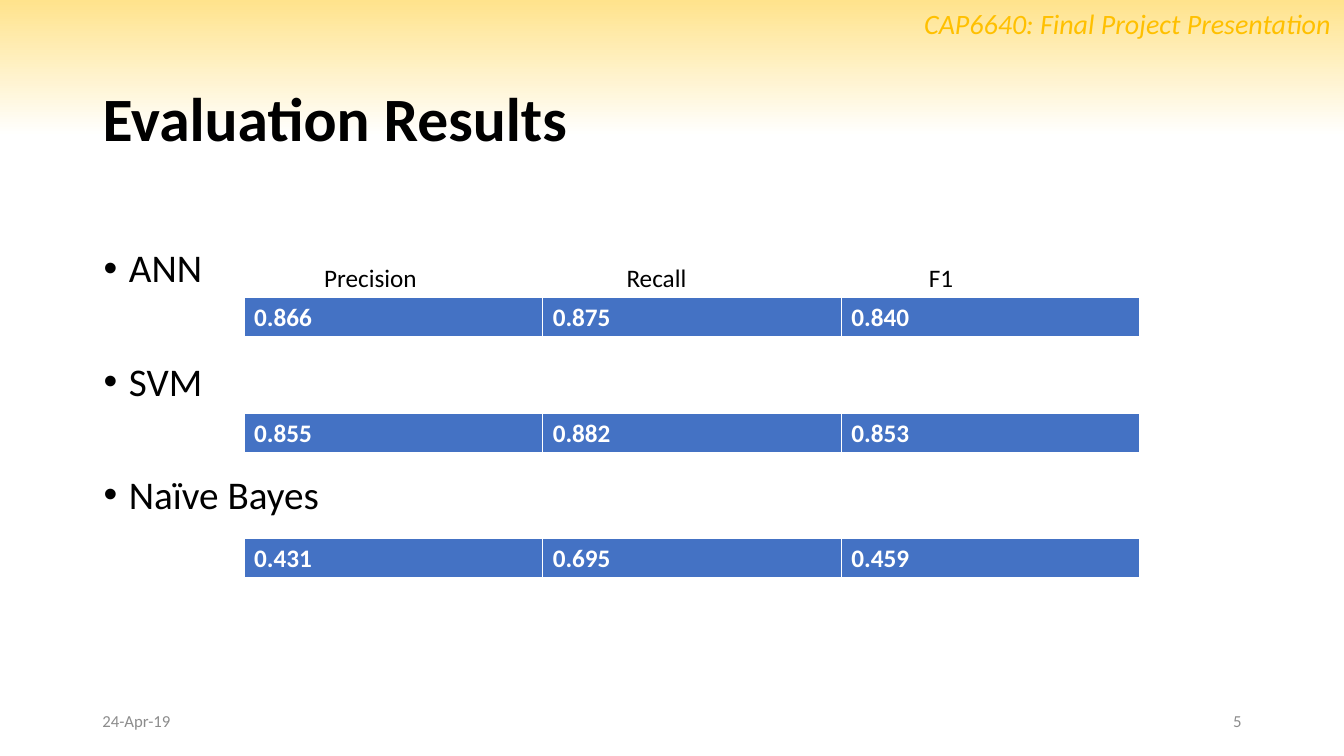
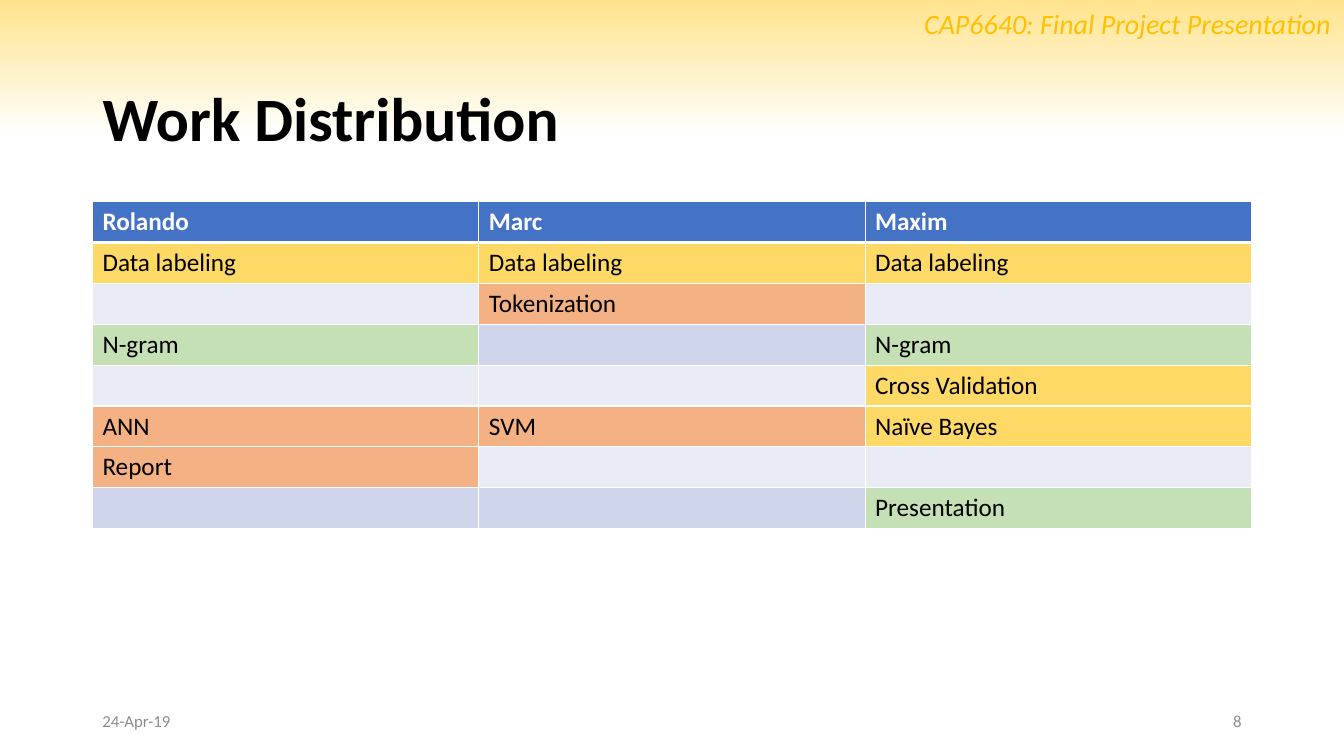
import pptx
import pptx.dml.color
import pptx.enum.text
import pptx.oxml.ns
import pptx.util
import lxml.etree

Cm, Pt = pptx.util.Cm, pptx.util.Pt
RGBColor = pptx.dml.color.RGBColor
ALIGN = pptx.enum.text.PP_ALIGN
ANCHOR = pptx.enum.text.MSO_ANCHOR
AUTO_SIZE = pptx.enum.text.MSO_AUTO_SIZE
qn = pptx.oxml.ns.qn

FONT = "Calibri"
BLACK = RGBColor(0x00, 0x00, 0x00)
WHITE = RGBColor(0xFF, 0xFF, 0xFF)
GRAY = RGBColor(0x8C, 0x8C, 0x8C)
GOLD = RGBColor(0xFF, 0xC0, 0x00)
PALE_GOLD = RGBColor(0xFF, 0xE3, 0x8C)
BLUE = RGBColor(0x44, 0x72, 0xC4)
YELLOW = RGBColor(0xFF, 0xD9, 0x66)
ORANGE = RGBColor(0xF4, 0xB1, 0x83)
GREEN = RGBColor(0xC5, 0xE0, 0xB4)
BANDS = (RGBColor(0xCF, 0xD5, 0xEA), RGBColor(0xE9, 0xEB, 0xF5))

# Boxes are left, top, width, height in centimetres
HEADER_BOX = (23.04, 0.05, 10.82, 1.12)
TITLE_BOX = (2.33, 1.45, 29.21, 3.25)
DATE_BOX = (2.33, 17.65, 7.62, 1.02)
NUMBER_BOX = (23.92, 17.65, 7.62, 1.02)
ROW_HEIGHT = 1.03

LAYOUT_CONTENT, LAYOUT_TITLE_ONLY = 1, 5


def style_text(frame, size, color, bold=False, italic=False):
    for para in frame.paragraphs:
        for span in para.runs:
            font = span.font
            font.name, font.size = FONT, Pt(size)
            font.bold, font.italic = bold, italic
            font.color.rgb = color


def place(shape, box):
    shape.left, shape.top, shape.width, shape.height = map(Cm, box)


def add_text(page, box, text, size, color, align=ALIGN.LEFT,
             anchor=ANCHOR.TOP, italic=False):
    frame = page.shapes.add_textbox(*map(Cm, box)).text_frame
    frame.word_wrap = True
    frame.vertical_anchor = anchor
    frame.text = text
    frame.paragraphs[0].alignment = align
    style_text(frame, size, color, italic=italic)
    return frame


def add_page(deck, layout, title, number):
    """Slide with the shared header, title and footer."""
    page = deck.slides.add_slide(deck.slide_layouts[layout])
    add_text(page, HEADER_BOX, "CAP6640: Final Project Presentation", 20, GOLD, italic=True)

    # Title
    place(page.shapes.title, TITLE_BOX)
    frame = page.shapes.title.text_frame
    frame.text = title
    frame.auto_size = AUTO_SIZE.NONE
    frame.vertical_anchor = ANCHOR.MIDDLE
    frame.paragraphs[0].alignment = ALIGN.LEFT
    frame.paragraphs[0].line_spacing = 0.9
    style_text(frame, 44, BLACK, bold=True)

    # Footer
    add_text(page, DATE_BOX, "24-Apr-19", 12, GRAY, anchor=ANCHOR.MIDDLE)
    add_text(page, NUMBER_BOX, str(number), 12, GRAY, ALIGN.RIGHT, ANCHOR.MIDDLE)
    return page


def add_borders(cell, bottom_width):
    properties = cell._tc.get_or_add_tcPr()
    for side, width in (("L", 1), ("R", 1), ("T", 1), ("B", bottom_width)):
        line = lxml.etree.SubElement(properties, qn("a:ln" + side), w=str(Pt(width)))
        fill = lxml.etree.SubElement(line, qn("a:solidFill"))
        lxml.etree.SubElement(fill, qn("a:srgbClr"), val=str(WHITE))


def add_grid(page, left, top, width, rows):
    """Table whose first row is a header; later cells are (text, fill) or None."""
    table = page.shapes.add_table(
        len(rows), len(rows[0]), Cm(left), Cm(top), Cm(width), Cm(ROW_HEIGHT * len(rows))).table
    for r, row in enumerate(rows):
        is_header = r == 0
        for c, entry in enumerate(row):
            text, fill = (entry, BLUE) if is_header else entry or ("", BANDS[(r - 1) % 2])
            cell = table.cell(r, c)
            add_borders(cell, 3 if is_header else 1)
            cell.fill.solid()
            cell.fill.fore_color.rgb = fill
            cell.text_frame.text = text
            style_text(cell.text_frame, 18, WHITE if is_header else BLACK, bold=is_header)


def fill_bullets(body, box, lines):
    place(body, box)
    frame = body.text_frame
    frame.auto_size = AUTO_SIZE.NONE
    frame.text = "\n".join(lines)
    for i, para in enumerate(frame.paragraphs):
        para.line_spacing = 0.9
        para.space_before = Pt(50.5 if i else 0)
        properties = para._p.get_or_add_pPr()
        properties.set("marL", str(Pt(18)))
        properties.set("indent", str(-Pt(18)))
    style_text(frame, 28, BLACK)


def add_column_labels(page, box, labels, pitch):
    para = add_text(page, box, "\t".join(labels), 18, BLACK).paragraphs[0]
    stops = lxml.etree.SubElement(para._p.get_or_add_pPr(), qn("a:tabLst"))
    for i in range(1, len(labels)):
        lxml.etree.SubElement(stops, qn("a:tab"), pos=str(Cm(i * pitch)), algn="l")


def build_results(deck):
    page = add_page(deck, LAYOUT_CONTENT, "Evaluation Results", 5)
    results = (
        ("ANN", 7.49, ("0.866", "0.875", "0.840")),
        ("SVM", 10.41, ("0.855", "0.882", "0.853")),
        ("Naïve Bayes", 13.56, ("0.431", "0.695", "0.459")),
    )
    fill_bullets(page.placeholders[1], (2.36, 6.15, 29.16, 11.96), [row[0] for row in results])
    for _, top, scores in results:
        add_grid(page, 6.15, top, 22.58, [scores])
    add_column_labels(page, (7.92, 6.48, 22.58, 1.02), ("Precision", "Recall", "F1"), 7.62)


def build_work(deck):
    page = add_page(deck, LAYOUT_TITLE_ONLY, "Work Distribution", 8)
    labeling = ("Data labeling", YELLOW)
    ngram = ("N-gram", GREEN)
    add_grid(page, 2.33, 5.08, 29.21, [
        ("Rolando", "Marc", "Maxim"),
        (labeling, labeling, labeling),
        (None, ("Tokenization", ORANGE), None),
        (ngram, None, ngram),
        (None, None, ("Cross Validation", YELLOW)),
        (("ANN", ORANGE), ("SVM", ORANGE), ("Naïve Bayes", YELLOW)),
        (("Report", ORANGE), None, None),
        (None, None, ("Presentation", GREEN)),
    ])


def set_background(master):
    """White page that turns pale gold towards the top edge."""
    fill = master.background.fill
    fill.gradient()
    fill.gradient_angle = 90
    for stop, position, color in zip(fill.gradient_stops, (0.82, 1), (WHITE, PALE_GOLD)):
        stop.position = position
        stop.color.rgb = color


deck = pptx.Presentation()
deck.slide_width, deck.slide_height = Cm(33.87), Cm(19.05)
set_background(deck.slide_master)
build_results(deck)
build_work(deck)
deck.save("out.pptx")
